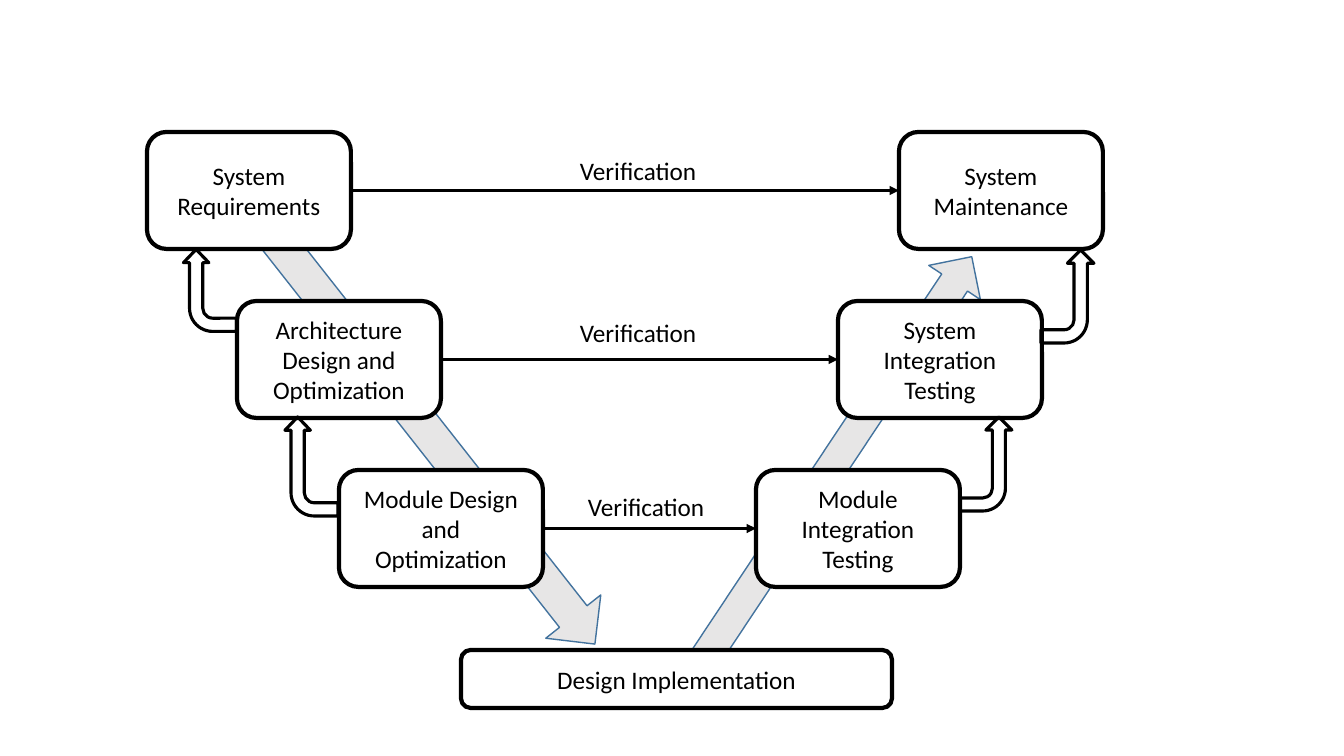
from pptx import Presentation
from pptx.dml.color import RGBColor
from pptx.enum.shapes import MSO_CONNECTOR, MSO_SHAPE
from pptx.enum.text import MSO_ANCHOR, MSO_AUTO_SIZE, PP_ALIGN
from pptx.oxml.ns import qn
from pptx.util import Pt
from lxml.etree import SubElement

EMU_PER_PIXEL = 914400 / 100.8


def px(*lengths):
    return [round(length * EMU_PER_PIXEL) for length in lengths]


def style(item, text="", fill=None, line=None, width=0):
    if fill:
        item.fill.solid()
        item.fill.fore_color.rgb = RGBColor.from_string(fill)
    else:
        item.fill.background()
    if line:
        item.shadow.inherit = False
        item.line.color.rgb = RGBColor.from_string(line)
        item.line.width = Pt(width)
    if text:
        item.text_frame.text = text
        font = item.text_frame.paragraphs[0].runs[0].font
        font.name, font.size = "Calibri", Pt(18)
        font.color.rgb = RGBColor.from_string("000000")


prs = Presentation()
prs.slide_width, prs.slide_height = px(1344, 756)
shapes = prs.slides.add_slide(prs.slide_layouts[6]).shapes

for bounds, angle in [((384, 136, 70, 569), 321.8), ((806, 216, 62, 487), 213.6)]:
    flow = shapes.add_shape(MSO_SHAPE.DOWN_ARROW, *px(*bounds))
    flow.rotation = angle
    style(flow, fill="E7E6E6", line="43739E", width=1)

stages = [("Design Implementation", 461, 650, 431, 58)]
levels = [
    (147, "System Requirements", 899, "System Maintenance", 570, 150),
    (237, "Architecture Design and Optimization", 838, "System Integration Testing", 570, 312),
    (339, "Module Design and Optimization", 756, "Module Integration Testing", 578, 486),
]
for row, (design_x, design, test_x, test, label_x, label_y) in enumerate(levels):
    top = 132 + 169 * row
    stages += [(design, design_x, top, 204, 117), (test, test_x, top, 204, 117)]

stage_boxes = []
for name, *bounds in stages:
    stage = shapes.add_shape(MSO_SHAPE.ROUNDED_RECTANGLE, *px(*bounds))
    style(stage, name, "FFFFFF", "000000", 3)
    stage.text_frame.word_wrap = True
    stage.text_frame.vertical_anchor = MSO_ANCHOR.MIDDLE
    stage.text_frame.paragraphs[0].alignment = PP_ALIGN.CENTER
    stage_boxes.append(stage)

feedback_arrows = [
    ((169, 264, 82, 53), True),
    ((262, 440, 99, 53), True),
    ((939, 438, 94, 52), False),
    ((1021, 270, 93, 53), False),
]
for bounds, on_design_side in feedback_arrows:
    feedback = shapes.add_shape(MSO_SHAPE.BENT_ARROW, *px(*bounds))
    feedback.rotation = 90
    style(feedback, line="000000", width=2.25)
    xfrm = feedback._element.spPr.find(qn("a:xfrm"))
    xfrm.set("flipH", "1")
    if on_design_side:
        xfrm.set("flipV", "1")
        feedback.adjustments[1] = 0.24

for design_box, test_box in zip(stage_boxes[1::2], stage_boxes[2::2]):
    verification = shapes.add_connector(MSO_CONNECTOR.STRAIGHT, 0, 0, 0, 0)
    verification.begin_connect(design_box, 3)
    verification.end_connect(test_box, 1)
    verification.line.color.rgb = RGBColor.from_string("000000")
    verification.line.width = Pt(2.25)
    SubElement(verification.line._get_or_add_ln(), qn("a:tailEnd"), type="triangle")
    SubElement(verification._element.spPr, qn("a:effectLst"))

for *_, label_x, label_y in levels:
    label = shapes.add_textbox(*px(label_x, label_y, 138, 40))
    style(label, "Verification")
    label.text_frame.word_wrap = False
    label.text_frame.auto_size = MSO_AUTO_SIZE.SHAPE_TO_FIT_TEXT

prs.save("out.pptx")
